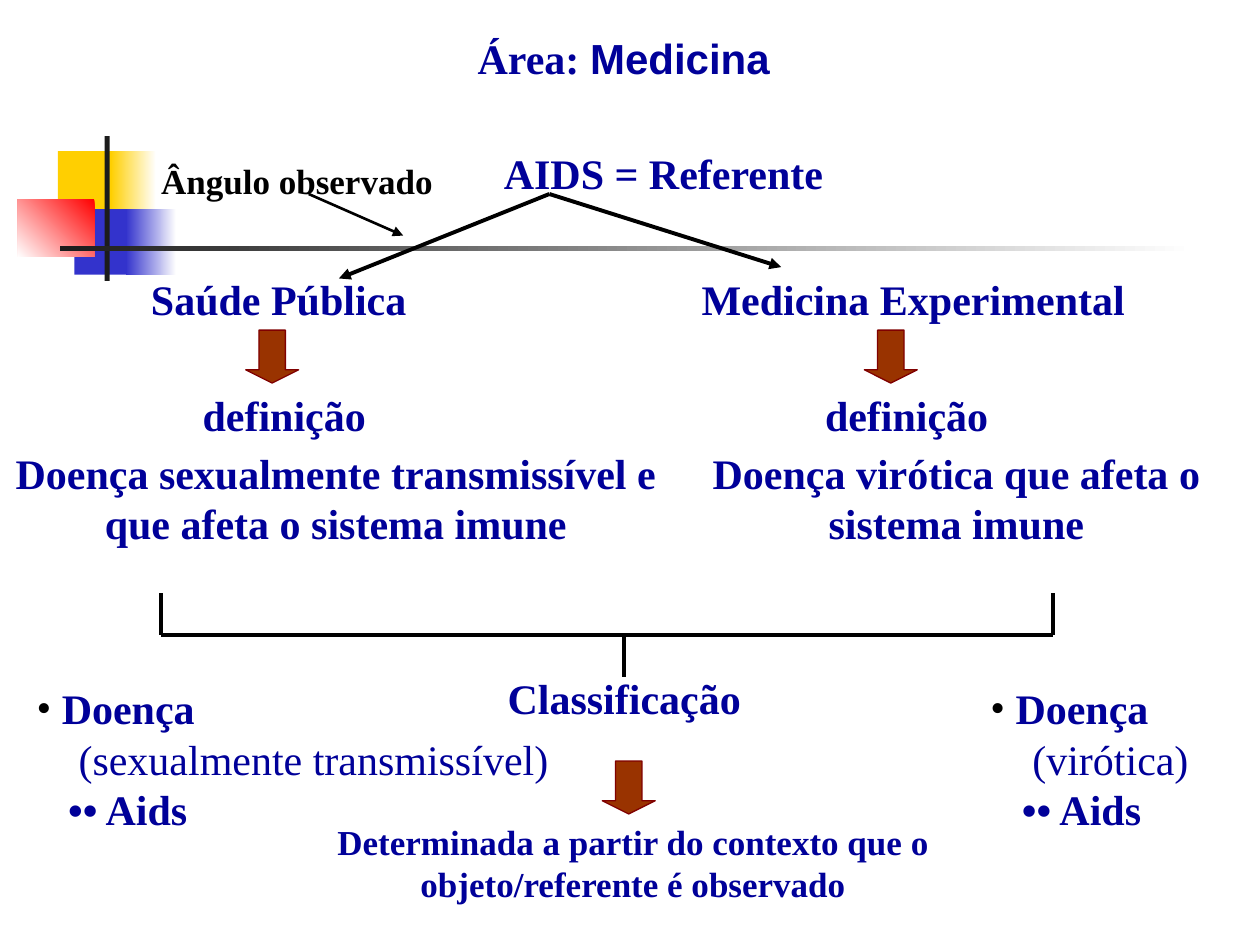
import pptx
import pptx.util
import pptx.dml.color
import pptx.enum.shapes
import pptx.enum.text
import pptx.oxml

PX = 9144
NAVY = "000099"
BLACK = "000000"
SERIF = "Times New Roman"
SHAPE = pptx.enum.shapes.MSO_SHAPE
LEFT = pptx.enum.text.PP_ALIGN.LEFT
CENTER = pptx.enum.text.PP_ALIGN.CENTER


def px(*lengths):
    return [length * PX for length in lengths]


def colour(value):
    return pptx.dml.color.RGBColor.from_string(value)


def element(name, attributes="", inner=""):
    space = 'xmlns:a="http://schemas.openxmlformats.org/drawingml/2006/main"'
    return pptx.oxml.parse_xml(f"<a:{name} {space} {attributes}>{inner}</a:{name}>")


def add_span(para, text, size=24, font=SERIF, tint=NAVY, bold=True):
    span = para.add_run()
    span.text = text
    span.font.size = pptx.util.Pt(size)
    span.font.name = font
    span.font.bold = bold
    span.font.color.rgb = colour(tint)


def format_para(para, align=LEFT):
    para.alignment = align
    para.line_spacing = 1.0
    para.space_before = para.space_after = pptx.util.Pt(0)


def place(holder, box):
    holder.left, holder.top, holder.width, holder.height = px(*box)
    frame = holder.text_frame
    frame.word_wrap = True
    frame.vertical_anchor = pptx.enum.text.MSO_ANCHOR.TOP
    frame.auto_size = pptx.enum.text.MSO_AUTO_SIZE.NONE
    return frame


def add_label(page, box, text, size=24, tint=NAVY, wrap=False):
    frame = page.shapes.add_textbox(*px(*box)).text_frame
    frame.word_wrap = wrap
    frame.auto_size = pptx.enum.text.MSO_AUTO_SIZE.SHAPE_TO_FIT_TEXT
    para = frame.paragraphs[0]
    format_para(para, CENTER if wrap else LEFT)
    add_span(para, text, size, tint=tint)


def add_line(page, start, end, width=2.25, arrow=False):
    line = page.shapes.add_connector(
        pptx.enum.shapes.MSO_CONNECTOR.STRAIGHT, *px(*start, *end))
    line.line.color.rgb = colour(BLACK)
    line.line.width = pptx.util.Pt(width)
    if arrow:
        line.line._get_or_add_ln().append(element("tailEnd", 'type="triangle"'))
    line._element.spPr.append(element("effectLst"))


def add_block(page, box, fill, fade_to=None, angle=180):
    block = page.shapes.add_shape(SHAPE.RECTANGLE, *px(*box))
    block.shadow.inherit = False
    block.line.fill.background()
    if fade_to is None:
        block.fill.solid()
        block.fill.fore_color.rgb = colour(fill)
        return
    block.fill.gradient()
    block.fill.gradient_angle = angle
    for stop, position, tint in zip(block.fill.gradient_stops, (0, 1), (fill, fade_to)):
        stop.position = position
        stop.color.rgb = colour(tint)


def add_down_arrow(page, left, top):
    arrow = page.shapes.add_shape(SHAPE.DOWN_ARROW, *px(left, top, 42, 42))
    arrow.adjustments[0], arrow.adjustments[1] = 0.5, 0.25
    arrow.shadow.inherit = False
    arrow.fill.solid()
    arrow.fill.fore_color.rgb = colour("993300")
    arrow.line.color.rgb = colour("800000")
    arrow.line.width = pptx.util.Pt(0.75)


def add_ornament(page, left, top):
    add_block(page, (left + 32, top + 12, 48, 52), "FFCF01")
    add_block(page, (left + 74, top + 12, 36, 52), "FFFFFF", "FFCF01")
    add_block(page, (left + 45, top + 58, 46, 52), "3333CC")
    add_block(page, (left + 86, top + 58, 40, 52), "FFFFFF", "3333CC")
    add_block(page, (left, top + 50, 61, 46), "FF0000", "FFFFFF", 225)
    add_block(page, (left + 69, top, 4, 115), "1C1C1C")
    add_block(page, (left + 34, top + 87, 900, 4), "FFFFFF", "1C1C1C")


def fill_title(holder, box):
    frame = place(holder, box)
    para = frame.paragraphs[0]
    format_para(para, CENTER)
    add_span(para, "Área: ")
    add_span(para, "Medicina", font="Arial")


def fill_list(holder, box, quality):
    frame = place(holder, box)
    rows = [("Doença", True, 14.4), (f"({quality})", False, 24), ("•• Aids", True, 18)]
    for index, (text, bold, margin) in enumerate(rows):
        para = frame.paragraphs[0] if index == 0 else frame.add_paragraph()
        format_para(para)
        add_span(para, text, bold=bold)
        settings = para._p.get_or_add_pPr()
        indent = pptx.util.Pt(margin)
        settings.set("marL", str(indent))
        settings.set("indent", str(-indent if index == 0 else 0))
        if index == 0:
            settings.append(element("buClr", inner=f'<a:srgbClr val="{BLACK}"/>'))
            settings.append(element("buFont", f'typeface="{SERIF}"'))
            settings.append(element("buChar", 'char="•"'))
        else:
            settings.append(element("buNone"))


def add_referent(page, left, top):
    add_label(page, (left, top, 274, 50), "AIDS = Referente")
    fork = (left + 46, top + 42)
    add_line(page, fork, (left - 121, top + 109), arrow=True)
    add_line(page, fork, (left + 230, top + 100), arrow=True)
    add_label(page, (left - 272, top + 10, 236, 44), "Ângulo observado", 20, BLACK)
    add_line(page, (left - 145, top + 42), (left - 70, top + 75), 1.5, True)


def add_view(page, box, heading, heading_box, arrow_left, label_left, definition):
    left, top, width, height = box
    heading_left, heading_width = heading_box
    add_label(page, (left + heading_left, top, heading_width, 50), heading)
    add_down_arrow(page, left + arrow_left, top + 50)
    add_label(page, (left + label_left, top + 92, 156, 50), "definição")
    add_label(page, (left, top + 138, width, height - 138), definition, wrap=True)


def add_bracket(page, left, top, width):
    base = top + 33
    add_line(page, (left, base), (left + width, base))
    for x in (left, left + width):
        add_line(page, (x, top), (x, base))
    add_line(page, (left + 367, base), (left + 367, base + 33))


def add_classification(page, left, top):
    add_label(page, (left + 207, top, 205, 50), "Classificação")
    add_down_arrow(page, left + 292, top + 75)
    add_label(page, (left, top + 117, 633, 77),
              "Determinada a partir do contexto que o objeto/referente é observado",
              20, wrap=True)


def main():
    deck = pptx.Presentation()
    deck.slide_width, deck.slide_height = px(1000, 750)
    page = deck.slides.add_slide(deck.slide_layouts[3])
    title, left_list, right_list = page.placeholders
    add_ornament(page, 14, 108)
    fill_title(title, (45, 21, 900, 50))
    add_referent(page, 390, 112)
    add_view(page, (0, 212, 533, 228), "Saúde Pública", (110, 223), 195, 151,
             "Doença sexualmente transmissível e que afeta o sistema imune")
    add_view(page, (533, 212, 452, 228), "Medicina Experimental", (14, 356), 153, 112,
             "Doença virótica que afeta o sistema imune")
    add_bracket(page, 128, 471, 708)
    add_classification(page, 186, 529)
    fill_list(left_list, (19, 537, 440, 130), "sexualmente transmissível")
    fill_list(right_list, (776, 537, 190, 130), "virótica")
    deck.save("out.pptx")


if __name__ == "__main__":
    main()
